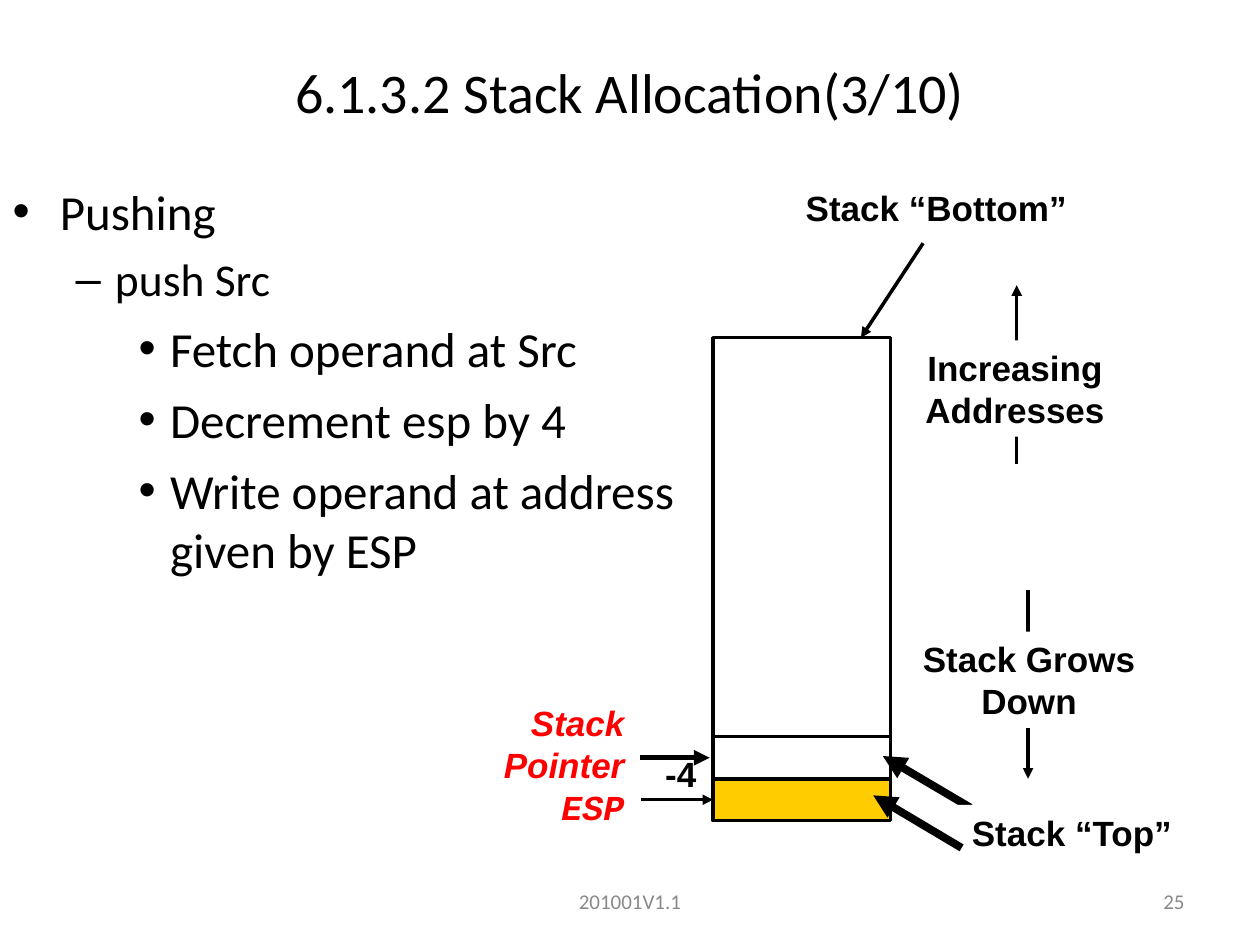
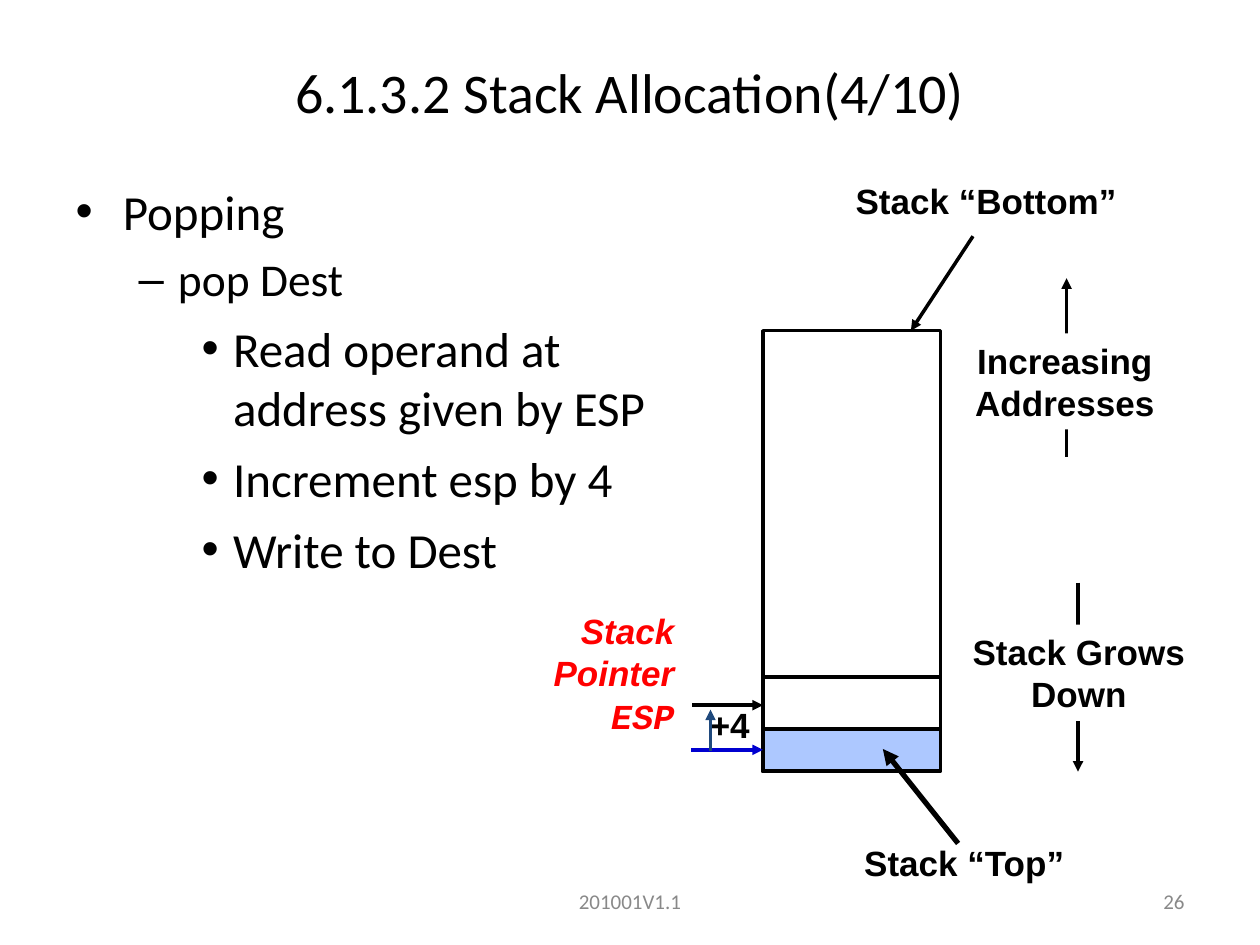
from dataclasses import dataclass

from lxml.etree import SubElement
from pptx import Presentation
from pptx.dml.color import RGBColor
from pptx.enum.shapes import MSO_CONNECTOR, MSO_SHAPE
from pptx.enum.text import MSO_ANCHOR, MSO_AUTO_SIZE, PP_ALIGN
from pptx.oxml.ns import qn
from pptx.util import Pt


@dataclass(frozen=True)
class Theme:
    black: str = "000000"
    white: str = "FFFFFF"
    red: str = "FF0000"
    grey: str = "898989"
    blue: str = "0000D0"
    navy: str = "1F497D"
    pushed_cell: str = "FFCC00"
    popped_cell: str = "ADC8FF"
    text_font: str = "Calibri"
    label_font: str = "Arial"
    code_font: str = "Courier New"
    title_size: float = 32
    label_size: float = 20
    footer_size: float = 12
    bullet_sizes: tuple = (28, 26, 28)


theme = Theme()

STACK_WIDTH, STACK_HEIGHT, CELL_HEIGHT = 101.5, 252, 24
BULLETS = [
    {"char": "•", "margin": 27, "hanging": 27, "before": 7},
    {"char": "–", "margin": 58.5, "hanging": 22.5, "before": 6.5},
    {"char": "•", "margin": 90, "hanging": 18, "before": 7},
]

slides = [
    {
        "title": "6.1.3.2 Stack Allocation(3/10)",
        "number": 25,
        "body_left": 0,
        "body_width": 429,
        "bullets": [
            (0, "Pushing"),
            (1, "push Src"),
            (2, "Fetch operand at Src"),
            (2, "Decrement esp by 4"),
            (2, "Write operand at address given by ESP"),
        ],
        "stack": (407.5, 193),
        "dividers": [(228, 2)],
        "cell_top": 252,
        "cell_color": theme.pushed_cell,
        "cell_arrow_color": theme.black,
        "pointer_top": 204.5,
        "offset": ("-4", -34, 236, 31),
        "top_label": (137, 267),
        "back_arrows": [((147, 268.5), (97, 239), 4.5, theme.black)],
        "front_arrows": [
            ((-42, 240), (-2, 240), 3, theme.black),
            ((142, 291.5), (91.5, 261.5), 4.5, theme.black),
        ],
    },
    {
        "title": "6.1.3.2 Stack Allocation(4/10)",
        "number": 26,
        "body_left": 36,
        "body_width": 369.5,
        "bullets": [
            (0, "Popping"),
            (1, "pop Dest"),
            (2, "Read operand at address given by ESP"),
            (2, "Increment esp by 4"),
            (2, "Write to Dest"),
        ],
        "stack": (436, 189),
        "dividers": [(227.5, 2), (198, 2.25)],
        "cell_top": 227.5,
        "cell_color": theme.popped_cell,
        "cell_arrow_color": theme.blue,
        "pointer_top": 156,
        "offset": ("+4", -38, 212, 38),
        "top_label": (47, 288.5),
        "back_arrows": [],
        "front_arrows": [
            ((-40.5, 214), (0, 214), 2, theme.black),
            ((-30, 240), (-30, 216.5), 1.5, theme.navy),
            ((111.5, 293), (68.5, 239), 3, theme.black),
        ],
    },
]


def add_line(slide, origin, start, end, width, color, arrow=True):
    x, y = origin
    line = slide.shapes.add_connector(
        MSO_CONNECTOR.STRAIGHT,
        Pt(x + start[0]), Pt(y + start[1]), Pt(x + end[0]), Pt(y + end[1]),
    )
    line.line.width = Pt(width)
    line.line.color.rgb = RGBColor.from_string(color)
    if arrow:
        SubElement(line.line._get_or_add_ln(), qn("a:tailEnd"), type="triangle")
    SubElement(line._element.spPr, qn("a:effectLst"))
    return line


def add_label(slide, text, left, top, width, height, fill=None, align=PP_ALIGN.CENTER,
              font=theme.label_font, size=theme.label_size, color=theme.black,
              bold=True, italic=False):
    label = slide.shapes.add_textbox(Pt(left), Pt(top), Pt(width), Pt(height))
    if fill:
        label.fill.solid()
        label.fill.fore_color.rgb = RGBColor.from_string(fill)
    text_frame = label.text_frame
    text_frame.text = text
    text_frame.word_wrap = False
    text_frame.auto_size = MSO_AUTO_SIZE.NONE
    for paragraph in text_frame.paragraphs:
        paragraph.alignment = align
        for run in paragraph.runs:
            run.font.name = font
            run.font.size = Pt(size)
            run.font.bold = bold
            run.font.italic = italic
            run.font.color.rgb = RGBColor.from_string(color)
    return label


presentation = Presentation()
presentation.slide_width, presentation.slide_height = Pt(720), Pt(540)

for content in slides:
    slide = presentation.slides.add_slide(presentation.slide_layouts[1])
    origin = x, y = content["stack"]

    for text, left, width, align in [
        ("201001V1.1", 246, 228, PP_ALIGN.CENTER),
        (str(content["number"]), 516, 168, PP_ALIGN.RIGHT),
    ]:
        footer = add_label(slide, text, left, 500.5, width, 28.5, align=align,
                           font=theme.text_font, size=theme.footer_size,
                           color=theme.grey, bold=False)
        footer.text_frame.word_wrap = True
        footer.text_frame.vertical_anchor = MSO_ANCHOR.MIDDLE

    title = slide.shapes.title
    title.left, title.top, title.width, title.height = Pt(0), Pt(21.5), Pt(720), Pt(61)
    title.text_frame.text = content["title"]
    title.text_frame.auto_size = MSO_AUTO_SIZE.NONE
    title.text_frame.vertical_anchor = MSO_ANCHOR.MIDDLE
    title_paragraph = title.text_frame.paragraphs[0]
    title_paragraph.alignment = PP_ALIGN.CENTER
    title_font = title_paragraph.runs[0].font
    title_font.name, title_font.size = theme.text_font, Pt(theme.title_size)
    title_font.color.rgb = RGBColor.from_string(theme.black)

    body = slide.placeholders[1]
    body.left, body.top = Pt(content["body_left"]), Pt(100)
    body.width, body.height = Pt(content["body_width"]), Pt(382.5)
    body.text_frame.text = "\n".join(text for level, text in content["bullets"])
    body.text_frame.auto_size = MSO_AUTO_SIZE.NONE
    for index, paragraph in enumerate(body.text_frame.paragraphs):
        level = content["bullets"][index][0]
        style = BULLETS[level]
        paragraph.level = level
        paragraph.space_before = Pt(style["before"] if index else 0)
        properties = paragraph._p.get_or_add_pPr()
        properties.set("marL", str(Pt(style["margin"])))
        properties.set("indent", str(-Pt(style["hanging"])))
        SubElement(properties, qn("a:buChar"), char=style["char"])
        font = paragraph.runs[0].font
        font.name, font.size = theme.text_font, Pt(theme.bullet_sizes[level])
        font.color.rgb = RGBColor.from_string(theme.black)

    blocks = []
    for top, height, color in [
        (0, STACK_HEIGHT, theme.white),
        (content["cell_top"], CELL_HEIGHT, content["cell_color"]),
    ]:
        block = slide.shapes.add_shape(
            MSO_SHAPE.RECTANGLE, Pt(x), Pt(y + top), Pt(STACK_WIDTH), Pt(height))
        block.shadow.inherit = False
        block.fill.solid()
        block.fill.fore_color.rgb = RGBColor.from_string(color)
        block.line.color.rgb = RGBColor.from_string(theme.black)
        block.line.width = Pt(2)
        blocks.append(block)
    stack, cell = blocks

    for top, width in content["dividers"]:
        add_line(slide, origin, (0, top), (STACK_WIDTH, top), width, theme.black, arrow=False)

    for start, end in [
        ((180, 144), (180, 252)),
        ((173.5, 72), (173.5, -30)),
        ((120, -54), (84.5, 0)),
    ]:
        add_line(slide, origin, start, end, 2, theme.black)
    for arrow in content["back_arrows"]:
        add_line(slide, origin, *arrow)

    top_left, top_top = content["top_label"]
    for text, left, top, width, height in [
        ("Stack Grows\nDown", 108, 168, 145, 55),
        ("Increasing\nAddresses", 111, 1.5, 123, 55),
        ("Stack “Bottom”", 41, -90, 173, 31),
        ("Stack “Top”", top_left, top_top, 136, 31),
    ]:
        add_label(slide, text, x + left, y + top, width, height, fill=theme.white)

    pointer = add_label(slide, "Stack\nPointer\nESP", x - 137.5, y + content["pointer_top"],
                        94, 79, align=PP_ALIGN.RIGHT, color=theme.red, italic=True)
    pointer.text_frame.paragraphs[2].runs[0].font.name = theme.code_font

    text, left, top, width = content["offset"]
    offset = add_label(slide, text, x + left, y + top, width, 29)
    offset.text_frame.margin_left = offset.text_frame.margin_right = Pt(3.6)
    offset.text_frame.paragraphs[0].line_spacing = 0.9

    cell_middle = content["cell_top"] + CELL_HEIGHT / 2
    cell_arrow = add_line(slide, origin, (-41, cell_middle), (0, cell_middle), 2,
                          content["cell_arrow_color"])
    cell_arrow.end_connect(cell, 1)
    for arrow in content["front_arrows"]:
        add_line(slide, origin, *arrow)

presentation.save("out.pptx")
